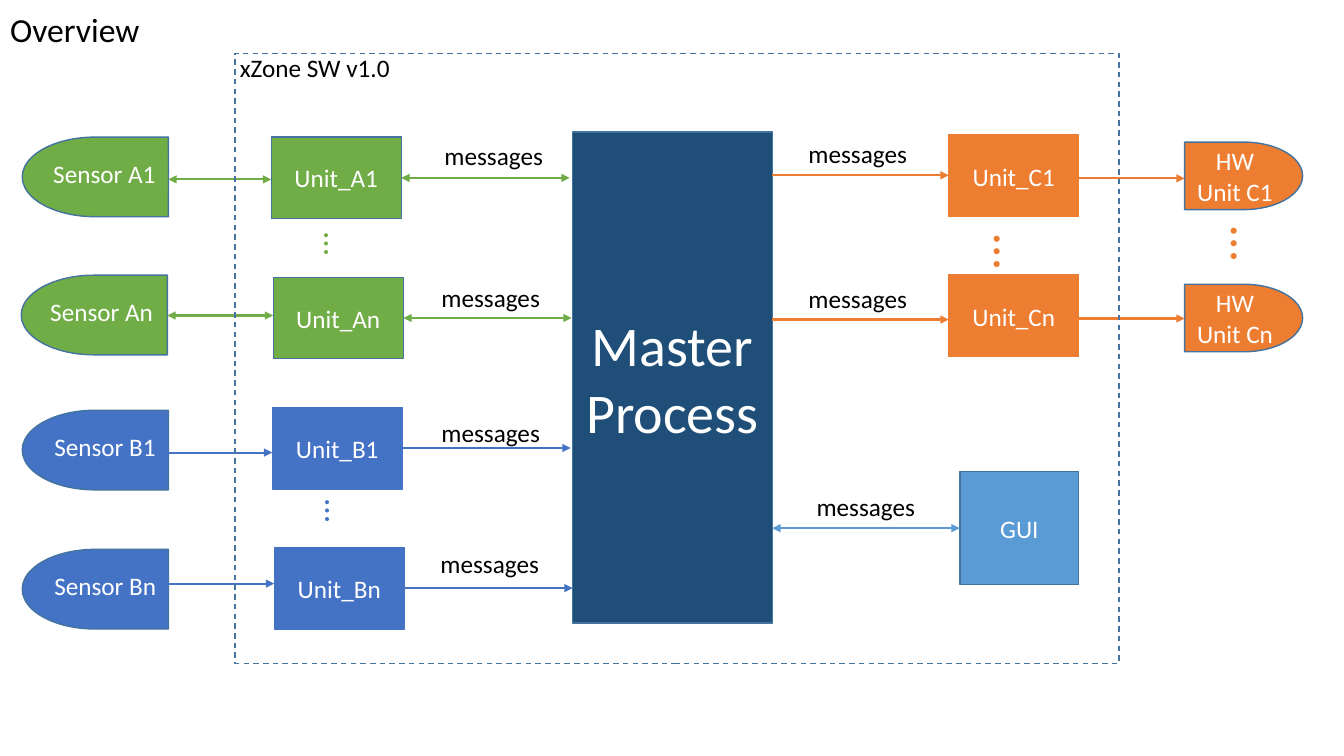
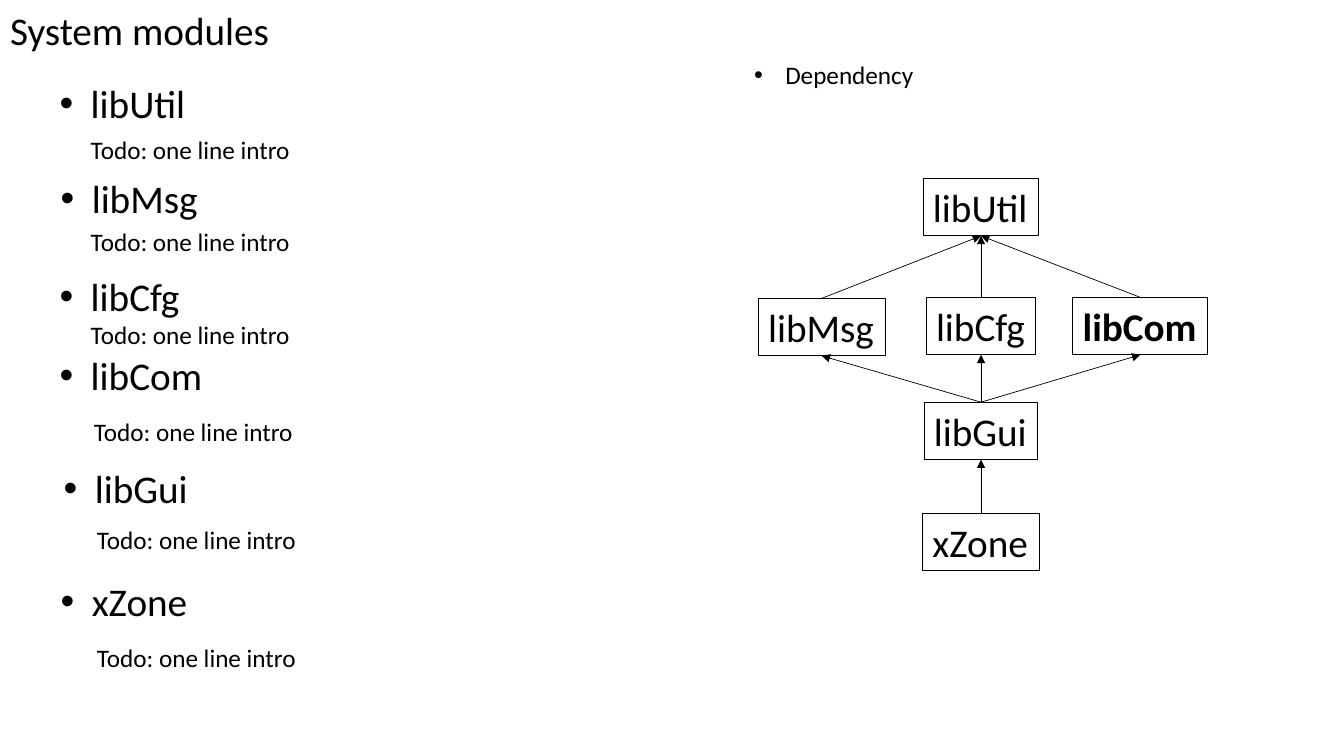
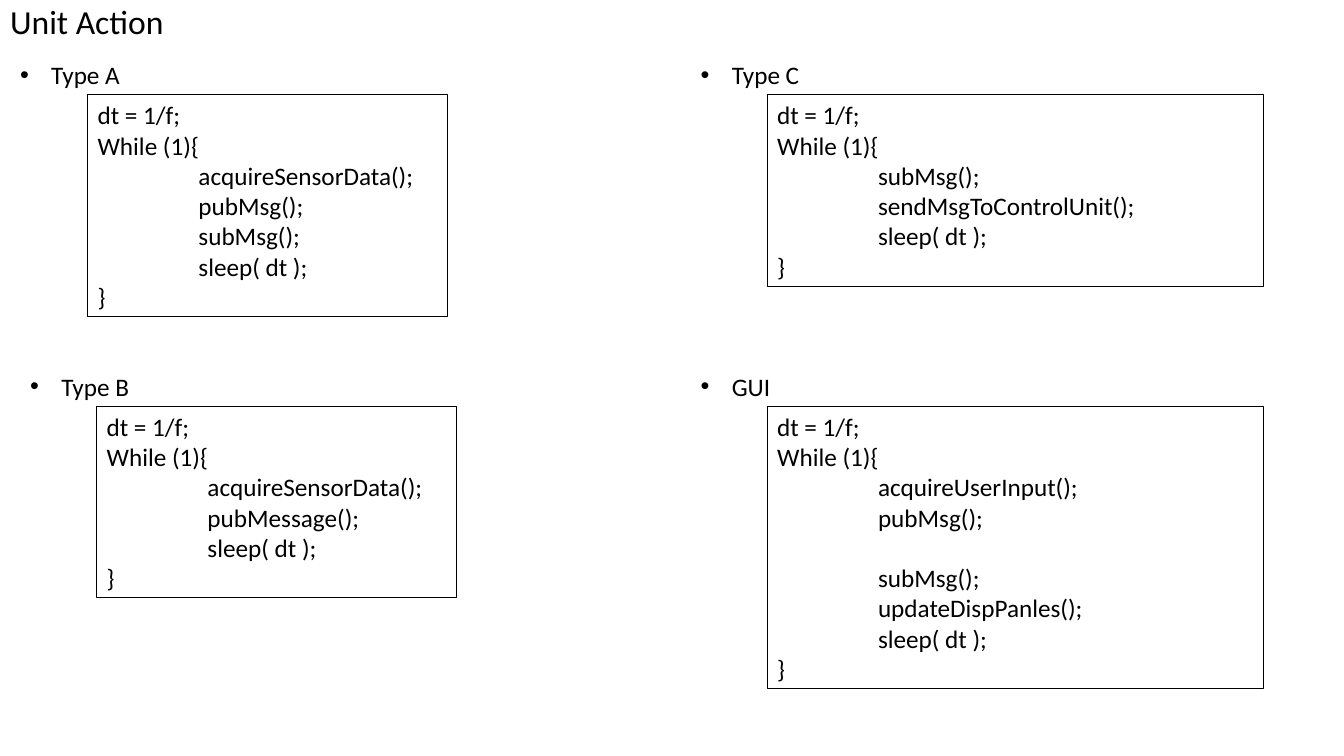
"""Build three slides on the structure of a sensor and control program."""
from dataclasses import dataclass
from typing import Optional

from lxml import etree
from pptx import Presentation
from pptx import util as u
from pptx.dml.color import RGBColor
from pptx.enum import dml, shapes, text
from pptx.oxml.ns import qn
from pptx.slide import Slide

COLUMNS, ROWS = 13.33, 7.5
TITLE_ONLY, TITLE_AND_BODY = 5, 1

FONT = "Calibri"
SMALL, MEDIUM, LARGE, HUGE = 18, 24, 28, 40
LINE_RATIO = 1.2
INSET = 0.05
HANGING = 0.31
LABEL_HEIGHT = 0.4

BLACK = RGBColor(0x00, 0x00, 0x00)
WHITE = RGBColor(0xFF, 0xFF, 0xFF)
NAVY = RGBColor(0x1F, 0x4E, 0x79)
EDGE = RGBColor(0x43, 0x73, 0x9E)
GREEN = RGBColor(0x70, 0xAD, 0x47)
BLUE = RGBColor(0x44, 0x72, 0xC4)
ORANGE = RGBColor(0xED, 0x7D, 0x31)
SKY = RGBColor(0x5B, 0x9B, 0xD5)

RECT = shapes.MSO_SHAPE.RECTANGLE
DELAY = shapes.MSO_SHAPE.FLOWCHART_DELAY


@dataclass(frozen=True)
class Area:
    """A place on the grid, in columns and rows."""
    left: float
    top: float
    width: float
    height: float

    @property
    def right(self) -> float:
        """Column of the right edge."""
        return self.left + self.width

    @property
    def bottom(self) -> float:
        """Row of the lower edge."""
        return self.top + self.height

    @property
    def center(self) -> float:
        """Column of the centre."""
        return self.left + self.width / 2

    @property
    def middle(self) -> float:
        """Row of the centre."""
        return self.top + self.height / 2

    def lengths(self) -> list[int]:
        """Place and size in slide units."""
        return [cells(n) for n in (self.left, self.top, self.width, self.height)]


@dataclass(frozen=True)
class InputLane:
    """A sensor, its unit and their links to the master process."""
    name: str
    color: RGBColor
    two_way: bool
    unit: Area
    sensor: Area
    tag_left: float
    sensor_row: float
    message: tuple[float, float]


@dataclass(frozen=True)
class OutputLane:
    """A control unit, its hardware and their links."""
    name: str
    unit: Area
    hardware: Area
    hub_row: float
    hardware_row: float
    message: tuple[float, float]


@dataclass(frozen=True)
class Dots:
    """A vertical ellipsis between two lanes."""
    area: Area
    size: int
    color: RGBColor


@dataclass(frozen=True)
class Module:
    """A library in the module list."""
    name: str
    name_top: float
    intro_top: float
    name_shift: float = 0
    intro_shift: float = 0


@dataclass(frozen=True)
class Node:
    """A library in the dependency graph, on one of its branches."""
    name: str
    branch: int
    top: float
    width: float
    uses: tuple[str, ...] = ()
    bold: bool = False

    @property
    def area(self) -> Area:
        """Place of the node, centred on its branch."""
        center = GRAPH_AXIS + self.branch * BRANCH_STEP
        return Area(center - self.width / 2, self.top, self.width, NODE_HEIGHT)


@dataclass(frozen=True)
class Loop:
    """A heading and the code of one kind of unit, with "" as a pause."""
    heading: str
    heading_area: Area
    left: float
    width: float
    calls: tuple[str, ...]


def unit_area(left: float, top: float) -> Area:
    """Place of a unit."""
    return Area(left, top, 1.29, 0.81)


def sensor_area(left: float, top: float) -> Area:
    """Place of a sensor."""
    return Area(left, top, 1.45, 0.79)


def hardware_area(top: float) -> Area:
    """Place of a hardware unit."""
    return Area(11.75, top, 1.17, 0.67)


HUB = Area(5.68, 1.31, 1.98, 4.87)
PANEL = Area(9.52, 4.68, 1.18, 1.12)
SYSTEM = Area(2.33, 0.53, 8.77, 6.05)
OUTPUT_LEFT = 9.41
INPUT_LINK = 1.67
TAG_DROP = 0.16

INPUTS = (
    InputLane("A1", GREEN, True, unit_area(2.69, 1.36), sensor_area(0.22, 1.36),
              tag_left=0.43, sensor_row=1.78, message=(4.31, 1.34)),
    InputLane("An", GREEN, True, unit_area(2.71, 2.75), sensor_area(0.21, 2.73),
              tag_left=0.4, sensor_row=3.13, message=(4.28, 2.75)),
    InputLane("B1", BLUE, False, unit_area(2.7, 4.04), sensor_area(0.22, 4.07),
              tag_left=0.44, sensor_row=4.49, message=(4.28, 4.09)),
    InputLane("Bn", BLUE, False, unit_area(2.72, 5.43), sensor_area(0.22, 5.45),
              tag_left=0.44, sensor_row=5.79, message=(4.27, 5.39)),
)
OUTPUTS = (
    OutputLane("C1", unit_area(OUTPUT_LEFT, 1.34), hardware_area(1.41),
               hub_row=1.74, hardware_row=1.77, message=(7.92, 1.32)),
    OutputLane("Cn", unit_area(OUTPUT_LEFT, 2.73), hardware_area(2.82),
               hub_row=3.17, hardware_row=3.16, message=(7.92, 2.76)),
)
DOTS = (
    Dots(Area(3.13, 2.18, 0.44, 0.5), 24, GREEN),
    Dots(Area(3.14, 4.83, 0.44, 0.5), 24, BLUE),
    Dots(Area(9.78, 2.15, 0.55, 0.71), 36, ORANGE),
    Dots(Area(12.13, 2.07, 0.55, 0.71), 36, ORANGE),
)

INTRO = "Todo: one line intro"
MODULES = (
    Module("libUtil", 0.74, 1.28),
    Module("libMsg", 1.68, 2.19, name_shift=0.01),
    Module("libCfg", 2.65, 3.12),
    Module("libCom", 3.44, 4.08, intro_shift=0.03),
    Module("libGui", 4.56, 5.15, name_shift=0.04, intro_shift=0.06),
    Module("xZone", 5.68, 6.32, name_shift=0.01, intro_shift=0.06),
)

GRAPH_AXIS, BRANCH_STEP, NODE_HEIGHT = 9.73, 1.58, 0.57
NODES = (
    Node("libUtil", 0, 1.77, 1.15),
    Node("libMsg", -1, 2.96, 1.26, uses=("libUtil",)),
    Node("libCfg", 0, 2.95, 1.09, uses=("libUtil",)),
    Node("libCom", 1, 2.95, 1.34, uses=("libUtil",), bold=True),
    Node("libGui", 0, 3.99, 1.13, uses=("libMsg", "libCfg", "libCom")),
    Node("xZone", 0, 5.09, 1.16, uses=("libGui",)),
)

CODE_START, CODE_END = ("dt = 1/f;", "While (1){"), ("}",)
CODE_INDENT = 1
UPPER, LOWER = 0.54, 3.63
LOOPS = (
    Loop("Type A", Area(0.1, UPPER, 1.21, LABEL_HEIGHT), 0.87, 3.57,
         ("acquireSensorData();", "pubMsg();", "subMsg();", "sleep( dt );")),
    Loop("Type B", Area(0.2, LOWER, 1.2, LABEL_HEIGHT), 0.96, 3.57,
         ("acquireSensorData();", "pubMessage();", "sleep( dt );")),
    Loop("Type C", Area(6.85, UPPER, 1.2, LABEL_HEIGHT), 7.61, 4.92,
         ("subMsg();", "sendMsgToControlUnit();", "sleep( dt );")),
    Loop("GUI", Area(6.85, LOWER, 0.9, LABEL_HEIGHT), 7.61, 4.92,
         ("acquireUserInput();", "pubMsg();", "", "subMsg();",
          "updateDispPanles();", "sleep( dt );")),
)


def cells(count: float) -> int:
    """Turn grid columns or rows into slide units."""
    return u.Inches(count)


def line_rows(size: float) -> float:
    """Height in rows of one line of text."""
    return size * LINE_RATIO / 72


def write(frame, words: str, *, size: float = SMALL, color: RGBColor = BLACK,
          bold: bool = False, align=text.PP_ALIGN.LEFT,
          anchor=text.MSO_ANCHOR.TOP, wrap: bool = True, grow: bool = False) -> list:
    """Fill a text frame, one paragraph a line, and return the paragraphs."""
    frame.text = words
    frame.word_wrap = wrap
    frame.vertical_anchor = anchor
    sizing = text.MSO_AUTO_SIZE
    frame.auto_size = sizing.SHAPE_TO_FIT_TEXT if grow else sizing.NONE
    for para in frame.paragraphs:
        para.alignment = align
        for span in para.runs:
            span.font.name = FONT
            span.font.size = u.Pt(size)
            span.font.bold = bold
            span.font.color.rgb = color
    return list(frame.paragraphs)


def indent(para, margin: float, bullet: bool = False) -> None:
    """Set the left margin of a paragraph, with or without a hanging bullet."""
    props = para._p.get_or_add_pPr()
    props.set("marL", str(cells(margin)))
    props.set("indent", str(cells(-HANGING if bullet else 0)))
    if bullet:
        etree.SubElement(props, qn("a:buFont")).set("typeface", "Arial")
        etree.SubElement(props, qn("a:buChar")).set("char", "•")
    else:
        etree.SubElement(props, qn("a:buNone"))


def move(box, area: Area) -> None:
    """Put a placeholder on the grid."""
    box.left, box.top, box.width, box.height = area.lengths()


def add_page(deck, layout: int, title: str, top: float, size: float = MEDIUM) -> Slide:
    """Add a slide with its title at the top left."""
    page = deck.slides.add_slide(deck.slide_layouts[layout])
    box = page.shapes.title
    move(box, Area(0, top, 10, 0.74))
    for para in write(box.text_frame, title, size=size):
        para.line_spacing = 0.9
        para.space_before = u.Pt(10)
    return page


def paint(shape, fill: Optional[RGBColor]) -> None:
    """Give a shape a solid fill, or none."""
    if fill is None:
        shape.fill.background()
    else:
        shape.fill.solid()
        shape.fill.fore_color.rgb = fill


def add_label(page: Slide, area: Area, words: str, *, fill: Optional[RGBColor] = None,
              border: Optional[RGBColor] = None, wrap: bool = False, **style):
    """Add a text box that fits its text."""
    box = page.shapes.add_textbox(*area.lengths())
    paint(box, fill)
    if border is not None:
        box.line.color.rgb = border
        box.line.width = u.Pt(0.75)
    write(box.text_frame, words, wrap=wrap, grow=True, **style)
    return box


def add_bullet(page: Slide, area: Area, words: str) -> None:
    """Add a one-line bulleted heading."""
    box = add_label(page, area, words)
    indent(box.text_frame.paragraphs[0], HANGING, bullet=True)


def add_block(page: Slide, area: Area, words: str = "", *, kind=RECT,
              fill: Optional[RGBColor] = None, edge: RGBColor = EDGE,
              size: float = SMALL):
    """Add an outlined shape with centred white text."""
    block = page.shapes.add_shape(kind, *area.lengths())
    block.shadow.inherit = False
    paint(block, fill)
    block.line.color.rgb = edge
    block.line.width = u.Pt(1)
    if words:
        write(block.text_frame, words, size=size, color=WHITE,
              align=text.PP_ALIGN.CENTER, anchor=text.MSO_ANCHOR.MIDDLE)
    return block


def add_arrow(page: Slide, start: tuple[float, float], end: tuple[float, float],
              color: RGBColor, *, width: float = 1.5, two_way: bool = False) -> None:
    """Add a straight arrow between two grid points."""
    arrow = page.shapes.add_connector(
        shapes.MSO_CONNECTOR.STRAIGHT, *(cells(n) for n in (*start, *end)))
    arrow.line.color.rgb = color
    arrow.line.width = u.Pt(width)
    props = arrow._element.spPr
    stroke = props.find(qn("a:ln"))
    for tip in ("a:headEnd", "a:tailEnd") if two_way else ("a:tailEnd",):
        etree.SubElement(stroke, qn(tip)).set("type", "triangle")
    etree.SubElement(props, qn("a:effectLst"))


def add_link(page: Slide, row: float, start: float, end: float, color: RGBColor,
             two_way: bool = False) -> None:
    """Add a level arrow between two columns."""
    add_arrow(page, (start, row), (end, row), color, two_way=two_way)


def add_message(page: Slide, place: tuple[float, float]) -> None:
    """Label a link to the master process."""
    add_label(page, Area(*place, 1.19, LABEL_HEIGHT), "messages")


def draw_input(page: Slide, lane: InputLane) -> None:
    """Draw a sensor lane."""
    unit, sensor, color = lane.unit, lane.sensor, lane.color
    add_block(page, unit, f"Unit_{lane.name}", fill=color,
              edge=EDGE if lane.two_way else color)
    add_link(page, unit.middle, unit.right, unit.right + INPUT_LINK, color, lane.two_way)
    add_message(page, lane.message)
    add_block(page, sensor, kind=DELAY, fill=color).rotation = 180
    add_label(page, Area(lane.tag_left, sensor.top + TAG_DROP, 1.23, LABEL_HEIGHT),
              f"Sensor {lane.name}", fill=color, color=WHITE)
    add_link(page, lane.sensor_row, sensor.right, unit.left, color, lane.two_way)


def draw_output(page: Slide, lane: OutputLane) -> None:
    """Draw a control lane."""
    unit, hardware = lane.unit, lane.hardware
    add_block(page, unit, f"Unit_{lane.name}", fill=ORANGE, edge=ORANGE)
    add_link(page, lane.hub_row, HUB.right, unit.left, ORANGE)
    add_message(page, lane.message)
    add_block(page, hardware, f"HW\nUnit {lane.name}", kind=DELAY, fill=ORANGE)
    add_link(page, lane.hardware_row, unit.right, hardware.left, ORANGE)


def draw_overview(deck) -> None:
    """Build the overview slide."""
    page = add_page(deck, TITLE_ONLY, "Overview", 0.08)
    add_block(page, HUB, "Master Process", fill=NAVY, size=HUGE)
    for lane in INPUTS:
        draw_input(page, lane)
    for lane in OUTPUTS:
        draw_output(page, lane)
    add_block(page, PANEL, "GUI", fill=SKY)
    add_link(page, PANEL.middle, HUB.right, PANEL.left, SKY, two_way=True)
    add_message(page, (8, 4.83))
    for dots in DOTS:
        add_label(page, dots.area, "…", size=dots.size, color=dots.color).rotation = 90
    add_block(page, SYSTEM).line.dash_style = dml.MSO_LINE.DASH
    add_label(page, Area(2.28, 0.47, 1.7, LABEL_HEIGHT), "xZone SW v1.0")


def draw_module_list(page: Slide) -> None:
    """Fill the body with the modules, spaced to start at their rows."""
    body = page.placeholders[1]
    move(body, Area(0.49, MODULES[0].name_top, 4, 6))
    words = "\n".join(f"{module.name}\n{INTRO}" for module in MODULES)
    paras = write(body.text_frame, words)
    bottom = MODULES[0].name_top
    for module, name, intro in zip(MODULES, paras[::2], paras[1::2]):
        name.runs[0].font.size = u.Pt(LARGE)
        indent(name, HANGING + module.name_shift, bullet=True)
        indent(intro, HANGING + module.intro_shift)
        for para, top, size in ((name, module.name_top, LARGE),
                                (intro, module.intro_top, SMALL)):
            gap = max(0, top - bottom)
            para.line_spacing = 1.0
            para.space_before = u.Pt(round(gap * 72, 1))
            bottom += gap + line_rows(size)


def draw_modules(deck) -> None:
    """Build the slide of modules and their dependencies."""
    page = add_page(deck, TITLE_AND_BODY, "System modules", 0.07, LARGE)
    draw_module_list(page)
    places = {node.name: node.area for node in NODES}
    for node in NODES:
        area = places[node.name]
        add_label(page, area, node.name, fill=WHITE, border=BLACK, size=LARGE,
                  bold=node.bold)
        for used in (places[name] for name in node.uses):
            add_arrow(page, (area.center, area.top), (used.center, used.bottom),
                      BLACK, width=0.5)
    add_bullet(page, Area(7.38, 0.54, 1.81, LABEL_HEIGHT), "Dependency")


def draw_loop(page: Slide, loop: Loop) -> None:
    """Draw the code of one kind of unit under its heading."""
    add_bullet(page, loop.heading_area, loop.heading)
    lines = (*CODE_START, *loop.calls, *CODE_END)
    area = Area(loop.left, loop.heading_area.bottom, loop.width,
                2 * INSET + line_rows(SMALL) * len(lines))
    box = add_label(page, area, "\n".join(filter(None, lines)), border=BLACK, wrap=True)
    paras = box.text_frame.paragraphs[len(CODE_START):-len(CODE_END)]
    for para in paras:
        indent(para, CODE_INDENT)
    if "" in loop.calls:
        paras[loop.calls.index("")].space_before = u.Pt(SMALL * LINE_RATIO)


def draw_actions(deck) -> None:
    """Build the slide of unit actions."""
    page = add_page(deck, TITLE_ONLY, "Unit Action", 0)
    for loop in LOOPS:
        draw_loop(page, loop)


def main() -> None:
    """Build and save the deck."""
    deck = Presentation()
    deck.slide_width, deck.slide_height = cells(COLUMNS), cells(ROWS)
    for draw in (draw_overview, draw_modules, draw_actions):
        draw(deck)
    deck.save("out.pptx")


main()
